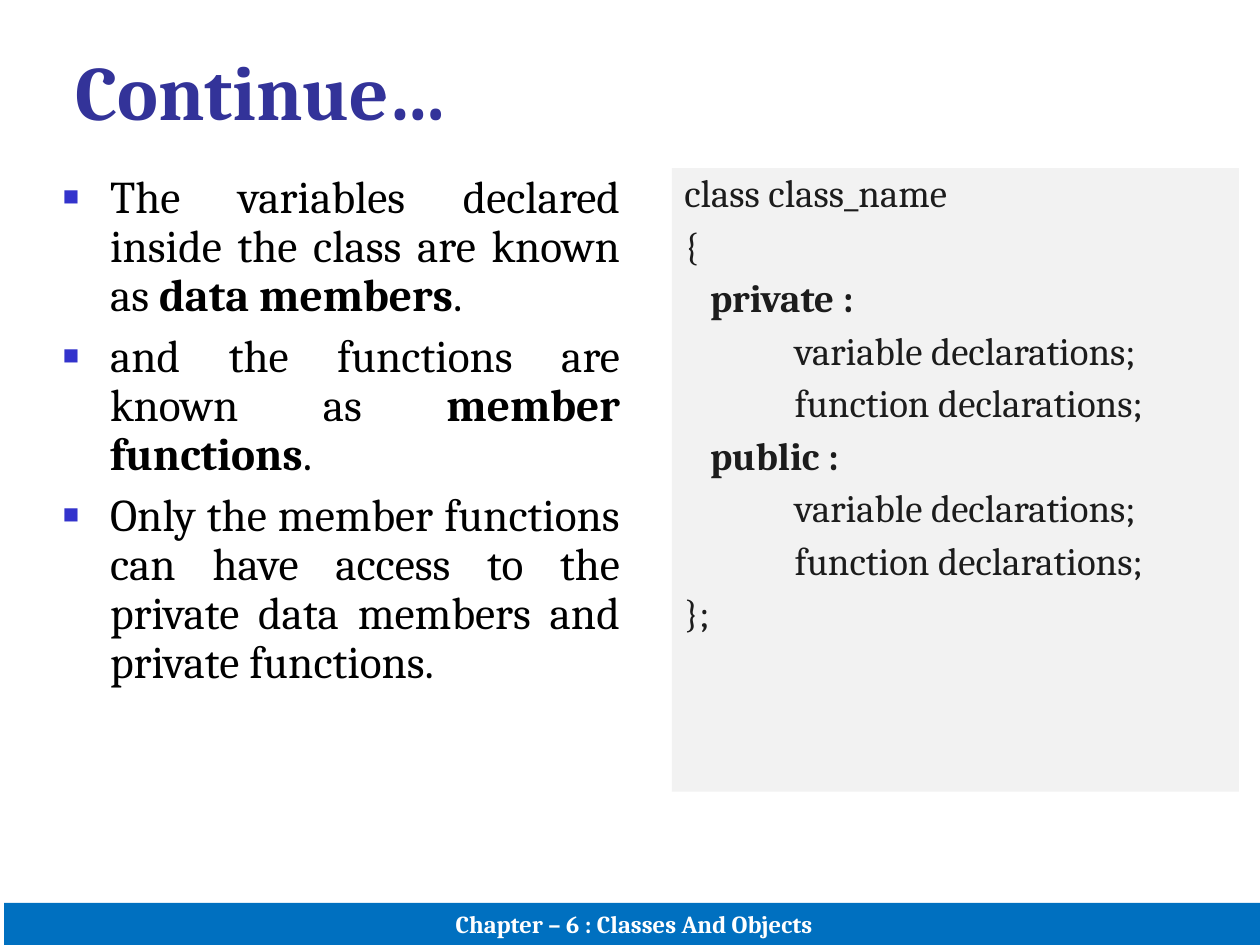
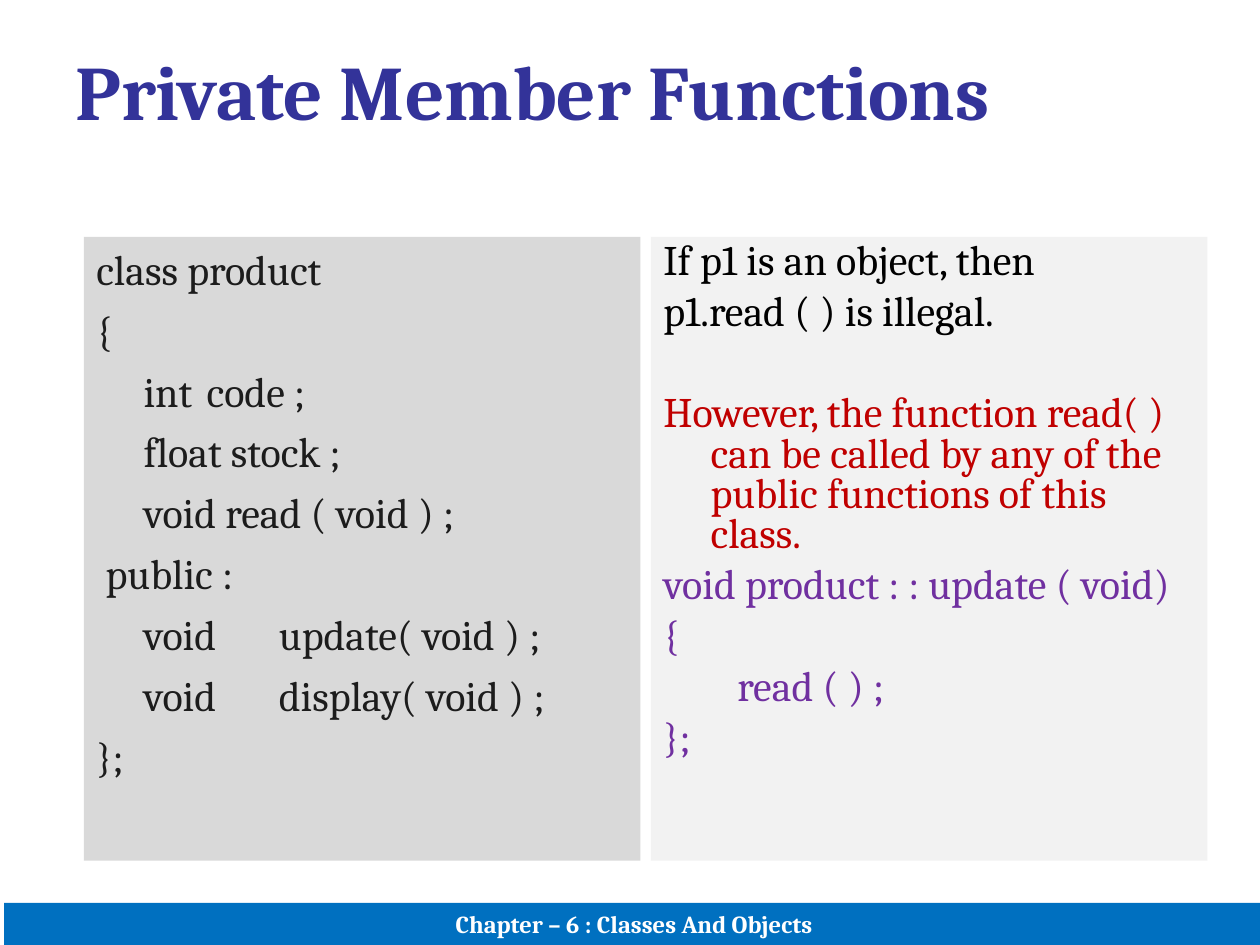
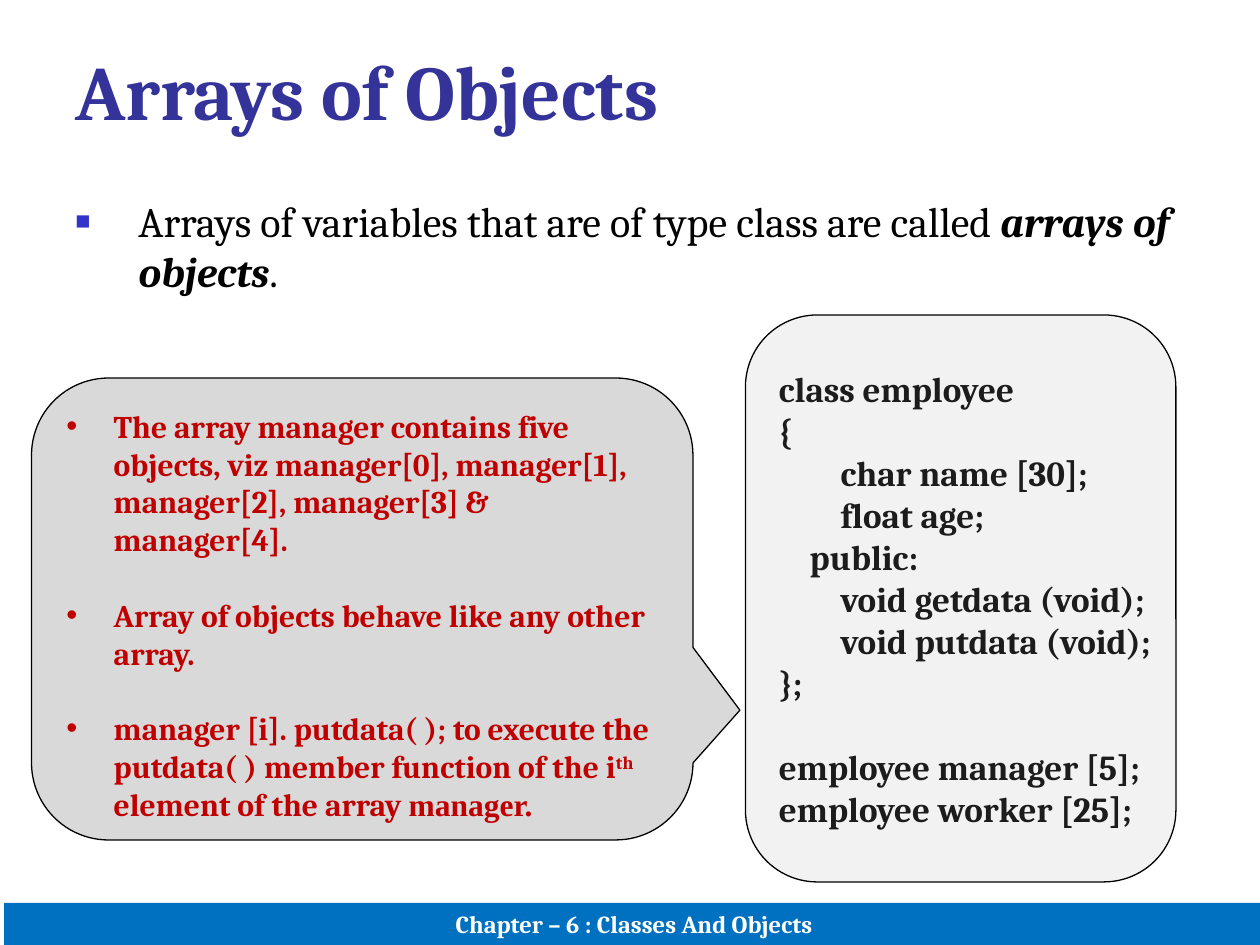
import lxml.etree
import pptx
import pptx.dml.color
import pptx.enum.shapes
import pptx.enum.text
import pptx.oxml.ns
import pptx.util

Pt = pptx.util.Pt
SHAPES = pptx.enum.shapes.MSO_SHAPE
ALIGN = pptx.enum.text.PP_ALIGN
ANCHOR = pptx.enum.text.MSO_ANCHOR

FONT = "Cambria"
BLACK, INK, WHITE = "000000", "1C1C1C", "FFFFFF"
TITLE_BLUE, BULLET_BLUE, BAND_BLUE = "333399", "3333CC", "0070C0"
LIGHT_GRAY, GRAY = "F2F2F2", "D9D9D9"
RED, PURPLE = "C00000", "7030A0"

BOLD = {"bold": True}
PURPLE_CODE = {"color": PURPLE}
SQUARE = ("■", BULLET_BLUE, 60)
DOT = ("•", RED, 100)

TITLE = {"at": (36, 21.6, 648, 62.6), "size": 44, "color": TITLE_BLUE, "bold": True}
FOOTER = {
    "at": (2.4, 516, 720, 24), "shape": SHAPES.RECTANGLE, "fill": BAND_BLUE,
    "size": 14, "color": WHITE, "bold": True, "align": ALIGN.CENTER,
    "anchor": ANCHOR.BOTTOM, "paragraphs": ["Chapter – 6 : Classes And Objects"],
}

DECK = [
    ("Continue…", [
        {
            "at": (384, 96, 324, 356.4), "shape": SHAPES.RECTANGLE, "fill": LIGHT_GRAY,
            "size": 22.2, "color": INK, "indent": 27, "line_spacing": 0.9,
            "space_before": 6, "tabs": True,
            "paragraphs": [
                "class class_name",
                "{",
                [("   ", {}), ("private :", BOLD)],
                "\t\tvariable declarations;",
                "\t\tfunction declarations;",
                [("   ", {}), ("public :", BOLD)],
                "\t\tvariable declarations;",
                "\t\tfunction declarations;",
                "};",
            ],
        },
        {
            "at": (28.8, 96, 332.6, 396), "size": 25.9, "color": BLACK, "indent": 27,
            "line_spacing": 0.9, "space_before": 7, "bullet": SQUARE,
            "align": ALIGN.JUSTIFY,
            "paragraphs": [
                [("The variables declared inside the class are known as ", {}),
                 ("data members", BOLD), (".", {})],
                [("and the functions are known as ", {}),
                 ("member functions", BOLD), (".", {})],
                "Only the member functions can have access to the private data "
                "members and private functions.",
            ],
        },
    ]),
    ("Private Member Functions", [
        {
            "at": (48, 135.4, 318, 356.4), "shape": SHAPES.RECTANGLE, "fill": GRAY,
            "size": 24, "color": INK, "indent": 27, "space_before": 6, "tabs": True,
            "paragraphs": [
                "class product",
                "{",
                "\tint\tcode ;",
                "\tfloat stock ;",
                "\tvoid read ( void ) ;",
                " public :",
                "\tvoid\t update( void ) ;",
                "\tvoid\t display( void ) ;",
                "};",
            ],
        },
        {
            "at": (372, 135.4, 318, 356.4), "shape": SHAPES.RECTANGLE, "fill": LIGHT_GRAY,
            "size": 24, "color": BLACK, "indent": 27, "line_spacing": 0.8,
            "space_before": 6, "gaps": {2: 35},
            "paragraphs": [
                "If p1 is an object, then",
                "p1.read ( ) is illegal.",
                [("However, the function read( ) can be called by any of the public "
                  "functions of this class.", {"color": RED})],
                [("void product : : update ( void)", PURPLE_CODE)],
                [("{", PURPLE_CODE)],
                [("        read ( ) ;", PURPLE_CODE)],
                [("};", PURPLE_CODE)],
            ],
        },
    ]),
    ("Arrays of Objects", [
        {
            "at": (36, 108, 648, 408), "size": 24, "color": BLACK, "indent": 36,
            "bullet": SQUARE,
            "paragraphs": [
                [("Arrays of variables that are of type class are called ", {}),
                 ("arrays of objects", {"bold": True, "italic": True}), (".", {})],
            ],
        },
        {
            "at": (426, 180, 246, 324), "shape": SHAPES.ROUNDED_RECTANGLE,
            "adjustments": [0.167], "fill": LIGHT_GRAY, "line": BLACK,
            "size": 20, "color": INK, "bold": True, "anchor": ANCHOR.MIDDLE,
            "wrap": False, "gaps": {8: 24},
            "paragraphs": [
                "class employee",
                "{",
                "        char name [30];",
                "        float age;",
                "    public:",
                "        void getdata (void);",
                "        void putdata (void);",
                "};",
                "employee manager [5];",
                "employee worker [25];",
            ],
        },
        {
            "at": (18, 216, 378, 264), "shape": SHAPES.ROUNDED_RECTANGULAR_CALLOUT,
            "adjustments": [0.571, 0.219, 0.167], "fill": GRAY, "line": BLACK,
            "size": 18, "color": RED, "bold": True, "indent": 27,
            "space_before": 21.6, "bullet": DOT,
            "paragraphs": [
                "The array manager contains five objects, viz manager[0], manager[1], "
                "manager[2], manager[3] & manager[4].",
                "Array of objects behave like any other array.",
                [("manager [i]. putdata( ); to execute the putdata( ) member function "
                  "of the i", {}),
                 ("th ", {"baseline": 30}),
                 ("element of the array ", {}),
                 ("manager.", {"font": "Times New Roman"})],
            ],
        },
    ]),
]


def rgb(color):
    return pptx.dml.color.RGBColor.from_string(color)


def add_element(parent, tag, **attributes):
    element = lxml.etree.SubElement(parent, pptx.oxml.ns.qn(tag))
    for name, value in attributes.items():
        element.set(name, str(value))
    return element


def format_paragraph(paragraph, box, index):
    paragraph.alignment = box.get("align", ALIGN.LEFT)
    paragraph.line_spacing = box.get("line_spacing", 1.0)
    if index:
        space = box.get("gaps", {}).get(index, box.get("space_before", 0))
        paragraph.space_before = Pt(space)
    properties = paragraph._p.get_or_add_pPr()
    indent = Pt(box.get("indent", 0))
    properties.set("marL", str(indent))
    properties.set("indent", str(-indent))
    if "bullet" in box:
        character, color, percent = box["bullet"]
        bullet_color = add_element(properties, "a:buClr")
        add_element(bullet_color, "a:srgbClr", val=color)
        add_element(properties, "a:buSzPct", val=percent * 1000)
        add_element(properties, "a:buFont", typeface="Arial")
        add_element(properties, "a:buChar", char=character)
    else:
        add_element(properties, "a:buNone")
    if box.get("tabs"):
        tab_list = add_element(properties, "a:tabLst")
        for inch in range(8):
            add_element(tab_list, "a:tab", pos=Pt(72 * inch), algn="l")


def add_runs(paragraph, content, box):
    pieces = [(content, {})] if isinstance(content, str) else content
    for text, style in pieces:
        run = paragraph.add_run()
        run.text = text
        run.font.name = style.get("font", FONT)
        run.font.size = Pt(box["size"])
        run.font.bold = style.get("bold", box.get("bold", False))
        run.font.italic = style.get("italic", False)
        run.font.color.rgb = rgb(style.get("color", box["color"]))
        if "baseline" in style:
            run._r.get_or_add_rPr().set("baseline", str(style["baseline"] * 1000))


def add_box(slide, box):
    place = [Pt(length) for length in box["at"]]
    if "shape" in box:
        shape = slide.shapes.add_shape(box["shape"], *place)
        shape.shadow.inherit = False
        for index, value in enumerate(box.get("adjustments", [])):
            shape.adjustments[index] = value
        shape.fill.solid()
        shape.fill.fore_color.rgb = rgb(box["fill"])
        if "line" in box:
            shape.line.color.rgb = rgb(box["line"])
            shape.line.width = Pt(0.75)
        else:
            shape.line.fill.background()
    else:
        shape = slide.shapes.add_textbox(*place)
    text_frame = shape.text_frame
    text_frame.word_wrap = box.get("wrap", True)
    text_frame.vertical_anchor = box.get("anchor", ANCHOR.TOP)
    for index, content in enumerate(box["paragraphs"]):
        paragraph = text_frame.add_paragraph() if index else text_frame.paragraphs[0]
        format_paragraph(paragraph, box, index)
        add_runs(paragraph, content, box)


def main():
    presentation = pptx.Presentation()
    presentation.slide_width = Pt(720)
    presentation.slide_height = Pt(540)
    for title, boxes in DECK:
        slide = presentation.slides.add_slide(presentation.slide_layouts[6])
        for box in [{**TITLE, "paragraphs": [title]}, *boxes, FOOTER]:
            add_box(slide, box)
    presentation.save("out.pptx")


if __name__ == "__main__":
    main()
